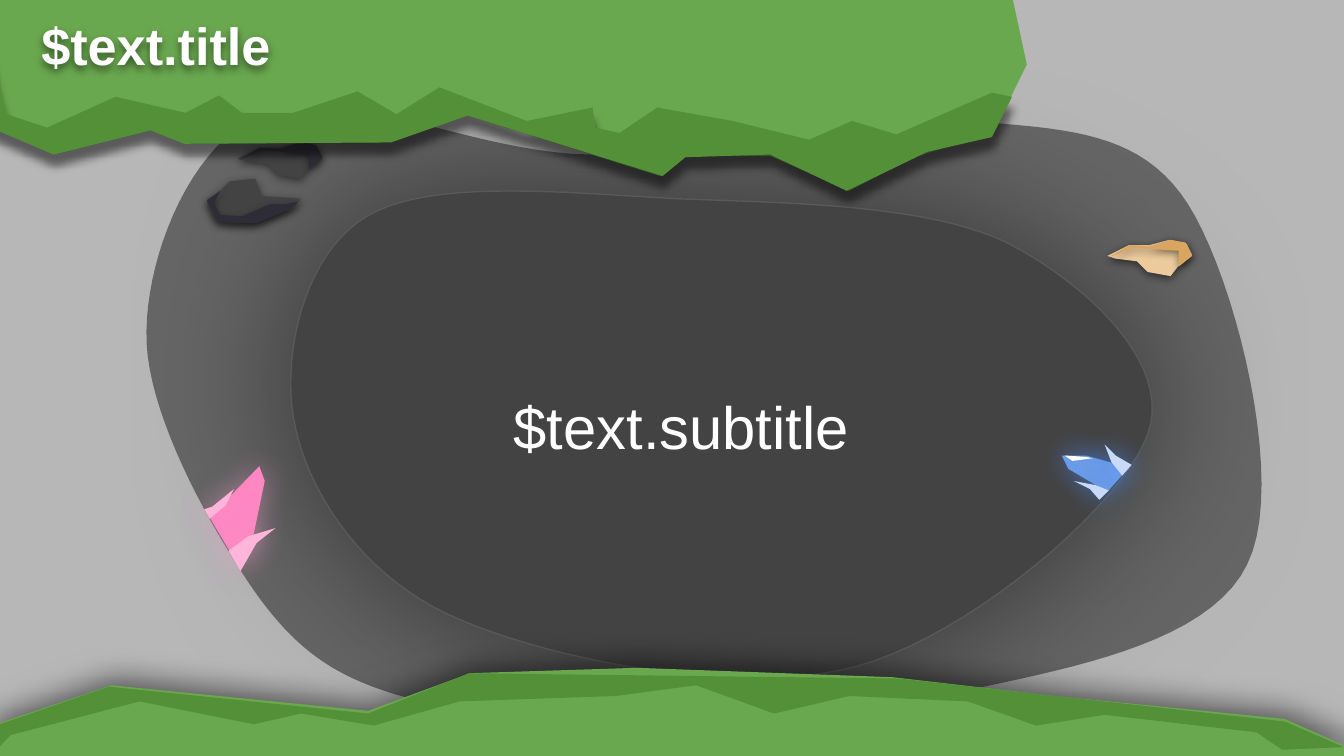
import lxml.etree
import pptx
import pptx.dml.color
import pptx.enum.text
import pptx.oxml.ns
import pptx.util

Cm = pptx.util.Cm
Pt = pptx.util.Pt
RGB = pptx.dml.color.RGBColor
qn = pptx.oxml.ns.qn
ANCHOR = pptx.enum.text.MSO_ANCHOR
ALIGN = pptx.enum.text.PP_ALIGN

BACKGROUND = RGB(0xB7, 0xB7, 0xB7)
CAVE_WALL = RGB(0x66, 0x66, 0x66)
CAVE = RGB(0x43, 0x43, 0x43)
CAVE_EDGE = RGB(0x59, 0x59, 0x59)
COAL = RGB(0x2E, 0x2C, 0x36)
SAND = RGB(0xEC, 0xCA, 0x9C)
DARK_SAND = RGB(0xD9, 0xA5, 0x60)
PINK = RGB(0xFF, 0x87, 0xC2)
PALE_PINK = RGB(0xFF, 0xB4, 0xD9)
BLUE = RGB(0x6D, 0x9E, 0xEB)
PALE_BLUE = RGB(0xC9, 0xDA, 0xF8)
GRASS = RGB(0x6A, 0xA8, 0x4F)
DARK_GRASS = RGB(0x53, 0x90, 0x38)
WHITE = RGB(0xFF, 0xFF, 0xFF)

# Shadows: colour, opacity in %, blur in pt, distance in pt, direction in degrees
CAVE_SHADOW = ("000000", 49, 85.5, 0, 0)
PINK_GLOW = ("F59FCD", 50, 16.9, 0, 0)
BLUE_GLOW = ("4A86E8", 73, 15.8, 0, 0)
SOFT_SHADOW = ("000000", 50, 4.5, 1.5, 90)
GRASS_SHADOW = ("000000", 50, 4.5, 6, 90)
GROUND_SHADOW = ("000000", 53, 15.8, 4.5, 290)

# Outlines are drawn on a grid of 0.0254 cm
GRID = Cm(0.0254)

# Bezier outlines: a start point, then two handles and an end point per curve
CAVE_WALL_CURVE = [
    (198, 83), (253, 61), (352, 114), (439, 115), (526, 116), (645, 84), (719, 90),
    (793, 96), (849, 97), (884, 152), (919, 207), (958, 360), (928, 420),
    (899, 481), (786, 499), (709, 516), (632, 532), (536, 522), (467, 522),
    (398, 522), (342, 531), (295, 517), (249, 503), (220, 484), (188, 438),
    (157, 393), (107, 305), (109, 246), (110, 187), (143, 105), (198, 83)]
CAVE_CURVE = [
    (750, 181), (808, 211), (873, 271), (854, 323), (835, 376), (722, 473), (637, 496),
    (551, 519), (411, 491), (342, 461), (272, 432), (231, 369), (220, 319),
    (208, 269), (225, 189), (273, 161), (321, 132), (426, 144), (506, 148),
    (585, 151), (692, 152), (750, 181)]

PINK_CRYSTAL = [(156, 385), (193, 347), (197, 358), (186, 411), (175, 417)]
PINK_RIGHT_SHARD = [(185, 399), (205, 393), (191, 404), (179, 425), (170, 410)]
PINK_LEFT_SHARD = [(158, 377), (174, 364), (168, 376), (156, 386), (152, 379)]

LEFT_ROCK = [
    (161, 165), (173, 166), (191, 166), (218, 155), (224, 148), (212, 147),
    (195, 146), (190, 133), (171, 135), (163, 143), (154, 150)]
LEFT_ROCK_SHADE = [
    (164, 142), (159, 151), (164, 160), (180, 161), (201, 152), (212, 152),
    (222, 150), (217, 155), (191, 166), (174, 166), (162, 164), (154, 149)]
ROCK = [
    (236, 109), (223, 106), (208, 110), (193, 110), (177, 118), (183, 120),
    (199, 122), (207, 130), (224, 133), (231, 124), (240, 117)]
ROCK_SHADE = [
    (230, 126), (230, 114), (227, 114), (211, 113), (196, 112), (191, 114),
    (178, 119), (194, 110), (209, 111), (224, 106), (235, 108), (240, 118)]
SAND_ROCK_OFFSET = (647, 72.5)

BLUE_CRYSTAL = [(824, 366), (795, 349), (790, 339), (808, 339), (840, 348)]
BLUE_RIGHT_SHARD = [(827, 344), (822, 331), (830, 339), (842, 346), (835, 354)]
BLUE_LOWER_SHARD = [(811, 364), (799, 358), (815, 361), (825, 365), (818, 372)]
BLUE_GLINT = [(798, 343), (792, 339), (807, 340), (813, 341), (806, 342)]

TOP_GRASS = [
    (-6, 95), (39, 112), (112, 97), (138, 107), (162, 107), (284, 106), (346, 85),
    (363, 91), (491, 131), (511, 116), (573, 116), (632, 142), (680, 117),
    (739, 99), (764, 48), (752, -8), (-20, -6)]
TOP_GRASS_EDGE = [
    (-15, 4), (5, 85), (35, 95), (86, 72), (138, 84), (163, 71), (180, 84),
    (218, 84), (266, 68), (295, 85), (327, 65), (392, 90), (441, 80), (443, 95),
    (461, 99), (489, 80), (545, 90), (602, 104), (634, 90), (667, 100), (738, 69),
    (753, 72), (738, 102), (690, 113), (630, 142), (573, 115), (510, 117),
    (493, 131), (348, 86), (291, 106), (137, 107), (112, 97), (40, 115), (-7, 95)]
GROUND = [
    (-3, 539), (83, 510), (274, 529), (350, 501), (474, 497), (664, 504),
    (785, 518), (956, 535), (1023, 565), (768, 574), (-24, 574)]
GROUND_EDGE = [
    (-20, 576), (8, 547), (104, 522), (189, 539), (224, 531), (278, 540),
    (342, 522), (458, 518), (518, 510), (576, 531), (632, 518), (720, 522),
    (771, 540), (822, 532), (935, 545), (954, 558), (1000, 556), (956, 537),
    (669, 505), (349, 501), (274, 531), (81, 511), (-3, 540)]


def flatten(curve, steps=20):
    """Turn a chain of cubic Bezier curves into points."""
    points = [curve[0]]
    for i in range(0, len(curve) - 1, 3):
        for step in range(1, steps + 1):
            t = step / steps
            weights = ((1 - t) ** 3, 3 * t * (1 - t) ** 2, 3 * t * t * (1 - t), t ** 3)
            points.append(tuple(
                sum(w * p[axis] for w, p in zip(weights, curve[i:i + 4]))
                for axis in (0, 1)))
    return points


class CaveSlide:
    def __init__(self, presentation):
        self.font = "Arial"
        self.text_color = WHITE
        self.slide = presentation.slides.add_slide(presentation.slide_layouts[0])
        fill = self.slide.background.fill
        fill.solid()
        fill.fore_color.rgb = BACKGROUND

    def shadow(self, shape, style):
        shape.shadow.inherit = False
        if style is None:
            return
        color, opacity, blur, distance, direction = style
        effects = shape.element.spPr.find(qn("a:effectLst"))
        outer = lxml.etree.SubElement(
            effects, qn("a:outerShdw"), blurRad=str(Pt(blur)), dist=str(Pt(distance)),
            dir=str(direction * 60000), algn="bl", rotWithShape="0")
        tint = lxml.etree.SubElement(outer, qn("a:srgbClr"), val=color)
        lxml.etree.SubElement(tint, qn("a:alpha"), val=str(opacity * 1000))

    def outline(self, points, color, shadow=None, edge=None, group=None, offset=(0, 0)):
        dx, dy = offset
        start, *rest = [((x + dx) * GRID, (y + dy) * GRID) for x, y in points]
        builder = (group or self.slide).shapes.build_freeform(*start)
        shape = builder.add_line_segments(rest, close=True).convert_to_shape()
        shape.fill.solid()
        shape.fill.fore_color.rgb = color
        if edge is None:
            shape.line.fill.background()
        else:
            shape.line.color.rgb = edge
            shape.line.width = Pt(0.75)
        self.shadow(shape, shadow)

    def cluster(self, parts, shadow, offset=(0, 0)):
        """Group several filled outlines that share one shadow."""
        group = self.slide.shapes.add_group_shape()
        for points, color in parts:
            self.outline(points, color, shadow, group=group, offset=offset)

    def text(self, index, wording, box, size, anchor, align, bold=False):
        """Fill a placeholder and bring it to the front."""
        holder = self.slide.placeholders[index]
        holder.left, holder.top, holder.width, holder.height = map(Cm, box)
        holder.element.getparent().append(holder.element)
        frame = holder.text_frame
        frame.text = wording
        frame.word_wrap = True
        frame.auto_size = pptx.enum.text.MSO_AUTO_SIZE.NONE
        frame.vertical_anchor = anchor
        frame.margin_left = frame.margin_right = Cm(0.25)
        frame.margin_top = frame.margin_bottom = Cm(0.25)
        paragraph = frame.paragraphs[0]
        paragraph.alignment = align
        paragraph.space_before = Pt(0)
        paragraph.font.name = self.font
        paragraph.font.size = Pt(size)
        paragraph.font.bold = bold
        paragraph.font.color.rgb = self.text_color
        return holder


def main():
    presentation = pptx.Presentation()
    presentation.slide_width = Cm(25.4)
    presentation.slide_height = Cm(14.29)
    cave = CaveSlide(presentation)

    cave.outline(flatten(CAVE_WALL_CURVE), CAVE_WALL)
    cave.outline(flatten(CAVE_CURVE), CAVE, CAVE_SHADOW, edge=CAVE_EDGE)
    cave.outline(PINK_CRYSTAL, PINK, PINK_GLOW)
    cave.outline(PINK_RIGHT_SHARD, PALE_PINK, PINK_GLOW)
    cave.cluster([(LEFT_ROCK, CAVE), (LEFT_ROCK_SHADE, COAL),
                  (ROCK, CAVE), (ROCK_SHADE, COAL)], SOFT_SHADOW)
    cave.cluster([(ROCK, SAND), (ROCK_SHADE, DARK_SAND)], SOFT_SHADOW, SAND_ROCK_OFFSET)
    cave.outline(PINK_LEFT_SHARD, PALE_PINK, PINK_GLOW)
    cave.cluster([(BLUE_CRYSTAL, BLUE), (BLUE_RIGHT_SHARD, PALE_BLUE),
                  (BLUE_LOWER_SHARD, PALE_BLUE), (BLUE_GLINT, WHITE)], BLUE_GLOW)
    cave.outline(TOP_GRASS, GRASS)
    cave.outline(TOP_GRASS_EDGE, DARK_GRASS, GRASS_SHADOW)
    cave.outline(GROUND, GRASS, GROUND_SHADOW)
    cave.outline(GROUND_EDGE, DARK_GRASS)

    title = cave.text(0, "$text.title", (0.53, 0, 16.94, 1.78), 28,
                      ANCHOR.TOP, ALIGN.LEFT, bold=True)
    cave.shadow(title, SOFT_SHADOW)
    subtitle = cave.text(1, "$text.subtitle", (6.63, 4.32, 12.5, 7.26), 32,
                         ANCHOR.MIDDLE, ALIGN.CENTER)
    subtitle.text_frame.paragraphs[0].line_spacing = 1.15
    subtitle.text_frame.paragraphs[0].space_after = Pt(12)
    presentation.save("out.pptx")


if __name__ == "__main__":
    main()
